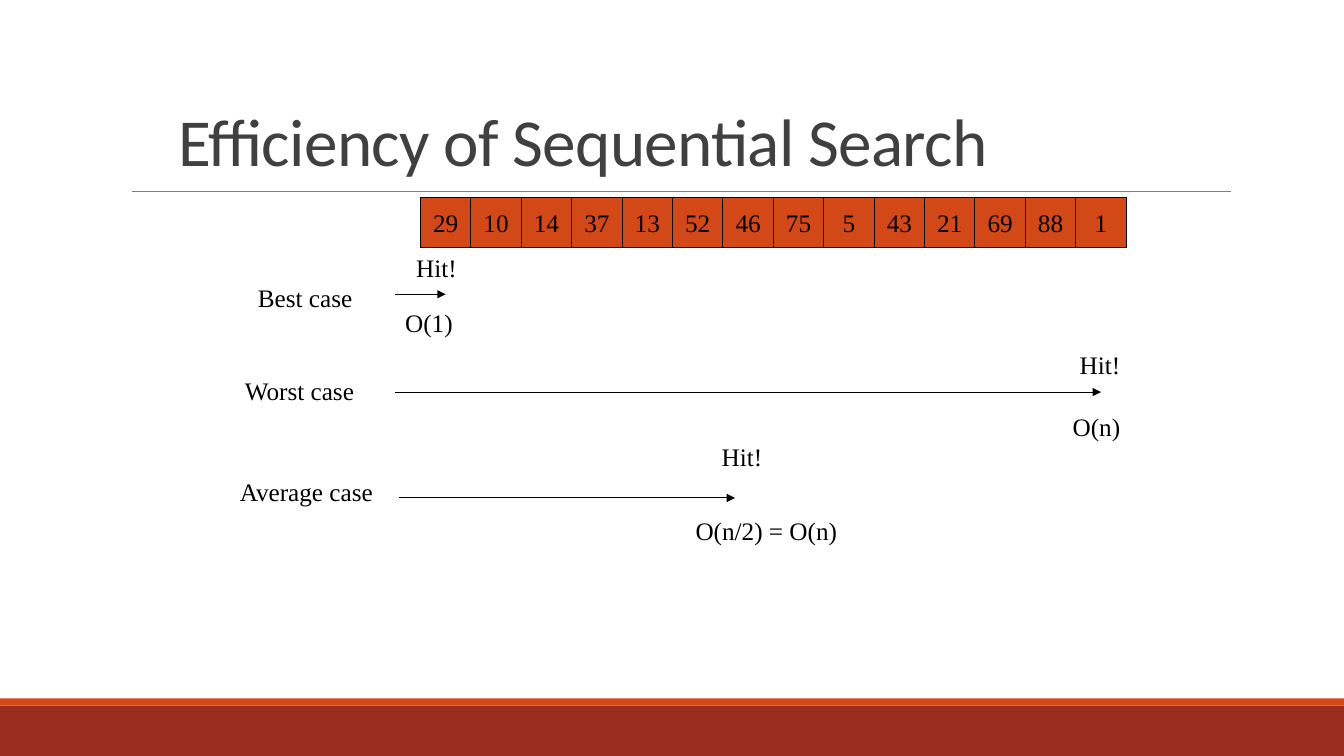
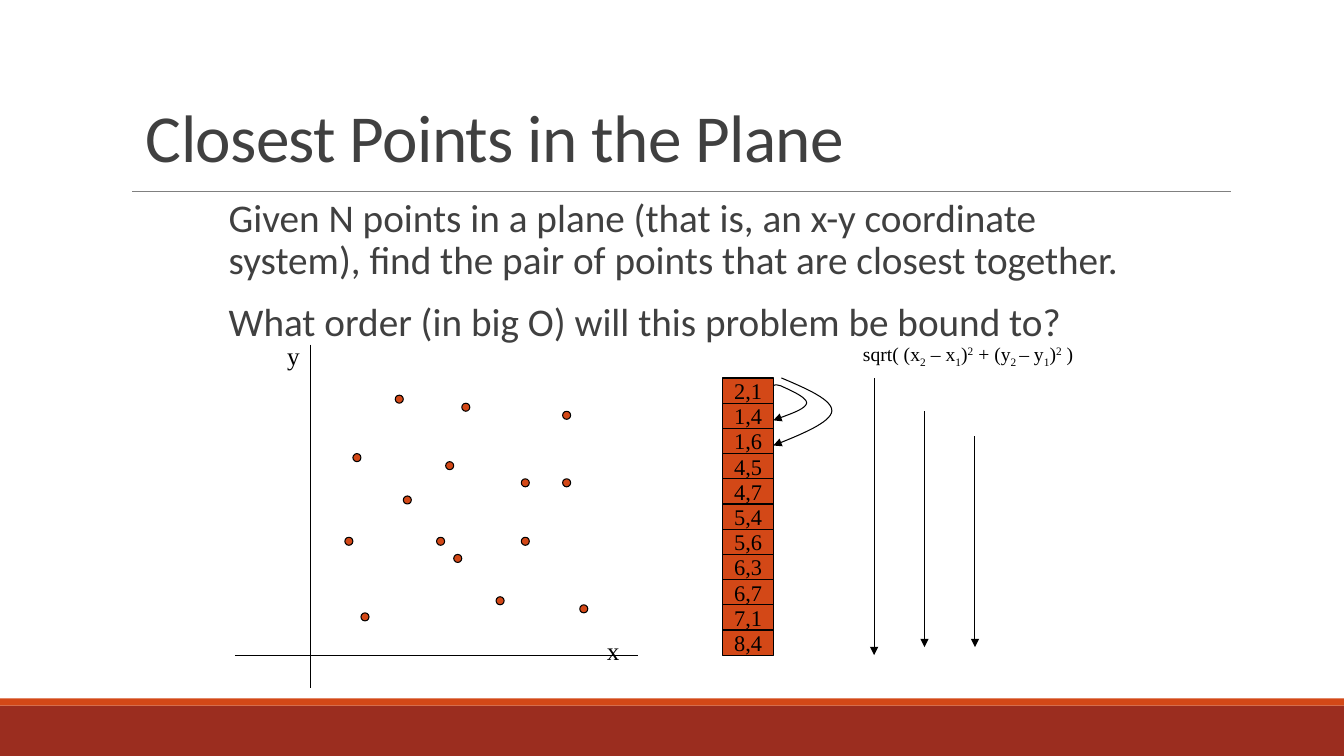
from dataclasses import dataclass

from lxml import etree
from pptx import Presentation
from pptx.dml.color import RGBColor
from pptx.enum import shapes, text
from pptx.oxml.ns import qn
from pptx.util import Inches, Pt


@dataclass(frozen=True)
class Theme:
    accent: RGBColor = RGBColor.from_string("D34817")
    band: RGBColor = RGBColor.from_string("9B2D1F")
    rule: RGBColor = RGBColor.from_string("808080")
    heading: RGBColor = RGBColor.from_string("404040")
    ink: RGBColor = RGBColor.from_string("000000")
    heading_font: str = "Calibri"
    diagram_font: str = "Times New Roman"
    title_size: int = 48
    body_size: int = 28
    label_size: int = 18
    pair_size: int = 16
    formula_size: int = 14
    thin: float = 0.75
    hairline: float = 0.5


THEME = Theme()
RECT = shapes.MSO_SHAPE.RECTANGLE
OVAL = shapes.MSO_SHAPE.OVAL
SUBSCRIPT, SUPERSCRIPT = -25, 30

SEARCHED = (29, 10, 14, 37, 13, 52, 46, 75, 5, 43, 21, 69, 88, 1)

# name, name position, arrow start x, arrow end x, arrow y, hit position, cost, cost position
CASES = (
    ("Best case", (2.46, 2.75), 3.92, 4.42, 2.92, (4.03, 2.45), "O(1)", (3.92, 3)),
    ("Worst case", (2.33, 3.67), 3.92, 10.92, 3.89, (10.61, 3.42), "O(n)", (10.54, 4.03)),
    ("Average case", (2.28, 4.68), 3.96, 7.29, 4.94, (7.06, 4.33), "O(n/2) = O(n)", (6.8, 5.06)),
)
LABEL_WIDTHS = {
    "Best case": 1.15, "Worst case": 1.3, "Average case": 1.54, "Hit!": 0.61,
    "O(1)": 0.68, "O(n)": 0.68, "O(n/2) = O(n)": 1.62, "x": 0.33, "y": 0.33,
}

QUESTION = (
    "Given N points in a plane (that is, an x-y coordinate system), "
    "find the pair of points that are closest together.",
    "What order (in big O) will this problem be bound to?",
)
PLANE_POINTS = (
    (3.5, 4.5), (3.92, 3.92), (3.42, 5.33), (5.17, 5.33), (4.58, 4),
    (4.33, 5.33), (4.5, 5.5), (3.58, 6.08), (5.75, 6), (5.17, 4.75),
    (4.42, 4.58), (5.58, 4.75), (4, 4.92), (5.58, 4.08), (4.92, 5.92),
)
COORDINATES = ("2,1", "1,4", "1,6", "4,5", "4,7", "5,4", "5,6", "6,3", "6,7", "7,1", "8,4")
COMPARISONS = (
    ((7.67, 3.83),
     ((7.68, 3.82), (7.69, 3.81), (7.75, 3.83)),
     ((7.81, 3.86), (8.01, 3.94), (8, 4)),
     ((7.99, 4.06), (7.83, 4.11), (7.67, 4.17))),
    ((7.75, 3.75),
     ((8.01, 3.86), (8.26, 3.97), (8.25, 4.08)),
     ((8.24, 4.19), (7.95, 4.31), (7.67, 4.42))),
)
# x, top, bottom of each pass over the list
PASSES = ((8.67, 3.75, 6.5), (9.17, 4.08, 6.42), (9.67, 4.33, 6.42))
DISTANCE = (
    ("sqrt( (x", 0), ("2", SUBSCRIPT), (" – x", 0), ("1", SUBSCRIPT),
    (")", 0), ("2", SUPERSCRIPT), (" + (y", 0), ("2 ", SUBSCRIPT),
    ("– y", 0), ("1", SUBSCRIPT), (")", 0), ("2", SUPERSCRIPT), (" )", 0),
)


def style_font(paragraph, size, name=THEME.diagram_font, color=THEME.ink):
    font = paragraph.font
    font.size, font.name = Pt(size), name
    font.color.rgb = color


def add_box(slide, kind, left, top, width, height, fill=THEME.accent, outlined=True):
    box = slide.shapes.add_shape(kind, *map(Inches, (left, top, width, height)))
    box.shadow.inherit = False
    box.fill.solid()
    box.fill.fore_color.rgb = fill
    if outlined:
        box.line.color.rgb = THEME.ink
        box.line.width = Pt(THEME.thin)
    else:
        box.line.fill.background()
    return box


def add_cell(slide, left, top, height, value, size):
    cell = add_box(slide, RECT, left, top, 0.5, height)
    frame = cell.text_frame
    frame.word_wrap = False
    frame.vertical_anchor = text.MSO_ANCHOR.MIDDLE
    paragraph = frame.paragraphs[0]
    paragraph.text = str(value)
    paragraph.alignment = text.PP_ALIGN.CENTER
    style_font(paragraph, size)


def add_frame(slide, left, top, width, height, wrap=True):
    box = slide.shapes.add_textbox(*map(Inches, (left, top, width, height)))
    box.text_frame.word_wrap = wrap
    return box.text_frame


def add_label(slide, words, left, top):
    frame = add_frame(slide, left, top, LABEL_WIDTHS[words], 0.4, wrap=False)
    frame.auto_size = text.MSO_AUTO_SIZE.SHAPE_TO_FIT_TEXT
    frame.text = words
    style_font(frame.paragraphs[0], THEME.label_size)


def add_arrowhead(line_shape):
    outline = line_shape._element.spPr.find(qn("a:ln"))
    etree.SubElement(outline, qn("a:tailEnd"), type="triangle")


def add_line(slide, start, end, arrow=False, color=THEME.ink, width=THEME.thin):
    line = slide.shapes.add_connector(
        shapes.MSO_CONNECTOR.STRAIGHT, *map(Inches, (*start, *end)))
    line.line.color.rgb = color
    line.line.width = Pt(width)
    etree.SubElement(line._element.spPr, qn("a:effectLst"))
    if arrow:
        add_arrowhead(line)


def bezier(p0, p1, p2, p3, steps=16):
    """Points along a cubic curve, without its start."""
    for step in range(1, steps + 1):
        t = step / steps
        weights = ((1 - t) ** 3, 3 * t * (1 - t) ** 2, 3 * t * t * (1 - t), t ** 3)
        yield tuple(
            Inches(sum(w * p[axis] for w, p in zip(weights, (p0, p1, p2, p3))))
            for axis in (0, 1))


def add_curved_arrow(slide, start, *segments):
    outline = slide.shapes.build_freeform(*map(Inches, start))
    for segment in segments:
        outline.add_line_segments(bezier(start, *segment), close=False)
        start = segment[-1]
    arrow = outline.convert_to_shape()
    arrow.shadow.inherit = False
    arrow.fill.background()
    arrow.line.color.rgb = THEME.ink
    arrow.line.width = Pt(THEME.thin)
    add_arrowhead(arrow)


def add_titled_slide(deck, title, left, top, width):
    """Blank slide with the shared bands, rule and title style."""
    slide = deck.slides.add_slide(deck.slide_layouts[6])
    add_box(slide, RECT, 0, 7, 13.33, 0.5, THEME.band, outlined=False)
    add_box(slide, RECT, 0, 6.93, 13.33, 0.07, outlined=False)
    add_line(slide, (1.31, 1.9), (12.21, 1.9), color=THEME.rule, width=THEME.hairline)
    frame = add_frame(slide, left, top, width, 1.25)
    frame.vertical_anchor = text.MSO_ANCHOR.BOTTOM
    heading = frame.paragraphs[0]
    heading.text = title
    heading.line_spacing = 0.85
    style_font(heading, THEME.title_size, THEME.heading_font, THEME.heading)
    heading._p.get_or_add_pPr().get_or_add_defRPr().set("spc", "-50")
    return slide


def add_question(slide):
    frame = add_frame(slide, 2.17, 1.92, 9.17, 1.67)
    frame.margin_left, frame.margin_right = Inches(0.1), 0
    frame.text = "\n".join(QUESTION)
    for paragraph in frame.paragraphs:
        paragraph.line_spacing = 0.9
        paragraph.space_before, paragraph.space_after = Pt(12), Pt(2)
        style_font(paragraph, THEME.body_size, THEME.heading_font, THEME.heading)


def add_distance_formula(slide):
    frame = add_frame(slide, 8.46, 3.34, 2.35, 0.34, wrap=False)
    frame.auto_size = text.MSO_AUTO_SIZE.SHAPE_TO_FIT_TEXT
    formula = frame.paragraphs[0]
    style_font(formula, THEME.formula_size)
    for words, baseline in DISTANCE:
        run = formula.add_run()
        run.text = words
        if baseline:
            run._r.get_or_add_rPr().set("baseline", str(baseline * 1000))


def build_search_slide(deck):
    slide = add_titled_slide(deck, "Efficiency of Sequential Search", 1.67, 0.59, 10)
    for index, value in enumerate(SEARCHED):
        add_cell(slide, 4.17 + 0.5 * index, 1.96, 0.5, value, THEME.label_size)
    for name, name_at, start, end, y, hit_at, cost, cost_at in CASES:
        add_label(slide, name, *name_at)
        add_line(slide, (start, y), (end, y), arrow=True)
        add_label(slide, "Hit!", *hit_at)
        add_label(slide, cost, *cost_at)


def build_points_slide(deck):
    slide = add_titled_slide(deck, "Closest Points in the Plane", 1.35, 0.55, 8.5)
    add_question(slide)
    add_line(slide, (2.33, 6.5), (6.33, 6.5))
    add_line(slide, (3.08, 3.42), (3.08, 6.83))
    add_label(slide, "x", 5.92, 6.25)
    add_label(slide, "y", 2.75, 3.33)
    for left, top in PLANE_POINTS:
        add_box(slide, OVAL, left, top, 0.08, 0.08)
    for index, pair in enumerate(COORDINATES):
        add_cell(slide, 7.17, 3.75 + 0.25 * index, 0.25, pair, THEME.pair_size)
    for comparison in COMPARISONS:
        add_curved_arrow(slide, *comparison)
    for x, top, bottom in PASSES:
        add_line(slide, (x, top), (x, bottom), arrow=True)
    add_distance_formula(slide)


def main():
    deck = Presentation()
    deck.slide_width, deck.slide_height = Inches(13.33), Inches(7.5)
    build_search_slide(deck)
    build_points_slide(deck)
    deck.save("out.pptx")


if __name__ == "__main__":
    main()
